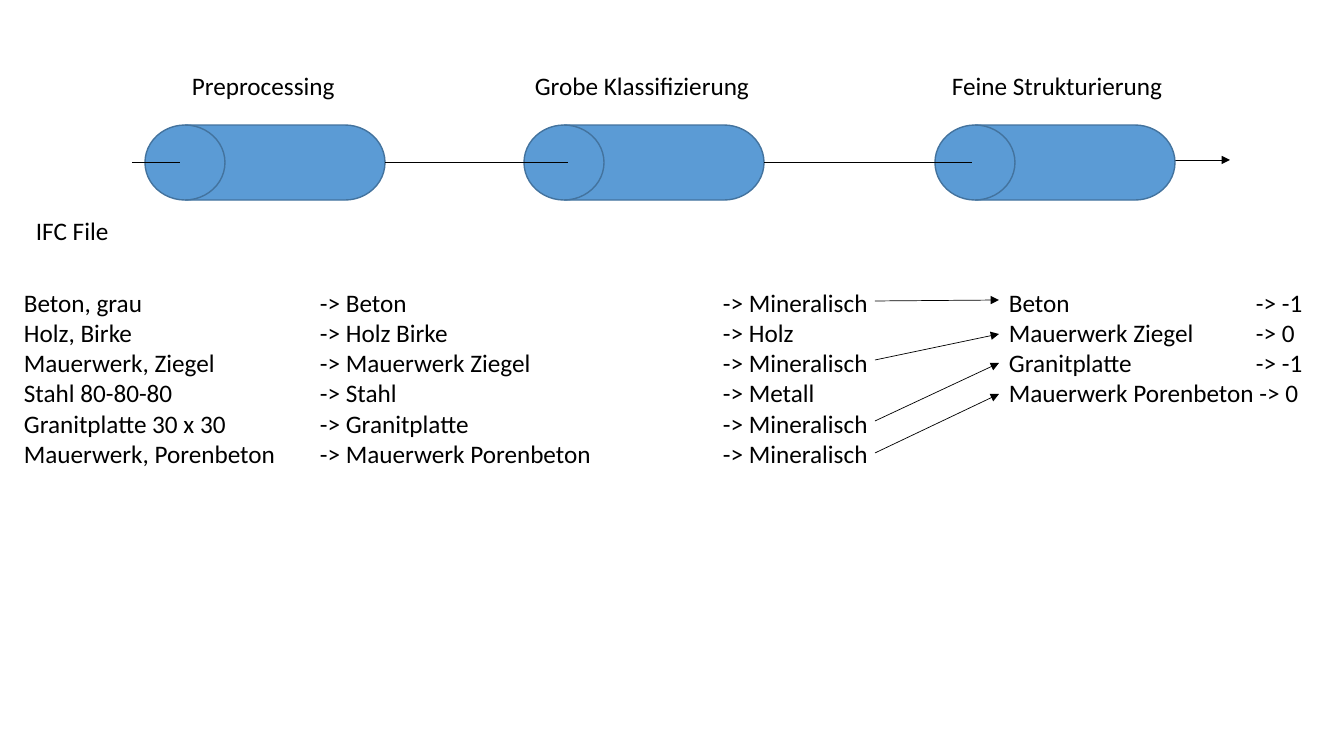
from lxml import etree
from pptx import Presentation
from pptx import util as u
from pptx.dml.color import RGBColor
from pptx.enum import shapes, text
from pptx.oxml.ns import qn

SCALE = 914400 / 100.8
FONT = "Calibri"
COLORS = {"ink": "000000", "drum": "5B9BD5", "drum_edge": "43739E"}

# Drum left, label left, label width, label
STAGES = [
    (145, 182, 164, "Preprocessing"),
    (524, 525, 237, "Grobe Klassifizierung"),
    (935, 942, 233, "Feine Strukturierung"),
]
DRUM_TOP, DRUM_WIDTH, DRUM_HEIGHT = 125, 240, 75
FLOW_Y = 162

# Raw material, cleaned name, coarse class
MATERIALS = [
    ("Beton, grau", "Beton", "Mineralisch"),
    ("Holz, Birke", "Holz Birke", "Holz"),
    ("Mauerwerk, Ziegel", "Mauerwerk Ziegel", "Mineralisch"),
    ("Stahl 80-80-80", "Stahl", "Metall"),
    ("Granitplatte 30 x 30", "Granitplatte", "Mineralisch"),
    ("Mauerwerk, Porenbeton", "Mauerwerk Porenbeton", "Mineralisch"),
]
FINE_RESULTS = [
    "Beton\t-> -1",
    "Mauerwerk Ziegel\t-> 0",
    "Granitplatte\t-> -1",
    "Mauerwerk Porenbeton -> 0",
]
# Start and end height of each arrow into the fine structure
MINERAL_ARROWS = [(301, 300), (360, 334), (421, 363), (453, 394)]


def px(pixels):
    return u.Emu(round(pixels * SCALE))


def color(name):
    return RGBColor.from_string(COLORS[name])


def add_lines(slide, left, top, width, height, lines, tab=None):
    box = slide.shapes.add_textbox(px(left), px(top), px(width), px(height))
    frame = box.text_frame
    frame.word_wrap = tab is not None
    frame.auto_size = text.MSO_AUTO_SIZE.SHAPE_TO_FIT_TEXT
    frame.text = "\n".join(lines)
    for paragraph in frame.paragraphs:
        if tab:
            stops = etree.SubElement(paragraph._p.get_or_add_pPr(), qn("a:tabLst"))
            etree.SubElement(stops, qn("a:tab"), pos=str(px(tab)), algn="l")
        for run in paragraph.runs:
            run.font.name = FONT
            run.font.size = u.Pt(18)
            run.font.color.rgb = color("ink")


def add_line(slide, x1, y1, x2, y2, arrow=False):
    line = slide.shapes.add_connector(
        shapes.MSO_CONNECTOR.STRAIGHT, px(x1), px(y1), px(x2), px(y2))
    line.line.color.rgb = color("ink")
    line.line.width = u.Pt(0.5)
    if arrow:
        etree.SubElement(line.line._get_or_add_ln(), qn("a:tailEnd"), type="triangle")
    etree.SubElement(line._element.spPr, qn("a:effectLst"))


def add_drum(slide, left):
    drum = slide.shapes.add_shape(
        shapes.MSO_SHAPE.FLOWCHART_DIRECT_ACCESS_STORAGE,
        px(left), px(DRUM_TOP), px(DRUM_WIDTH), px(DRUM_HEIGHT))
    drum.rotation = 180
    drum.shadow.inherit = False
    drum.fill.solid()
    drum.fill.fore_color.rgb = color("drum")
    drum.line.color.rgb = color("drum_edge")
    drum.line.width = u.Pt(1)


def main():
    deck = Presentation()
    deck.slide_width, deck.slide_height = px(1344), px(756)
    slide = deck.slides.add_slide(deck.slide_layouts[6])

    # Pipeline: the outgoing arrow starts behind the last drum
    add_line(slide, 1086, 160, 1230, 160, arrow=True)
    for drum_left, label_left, label_width, label in STAGES:
        add_drum(slide, drum_left)
        add_lines(slide, label_left, 65, label_width, 40, [label])
    add_lines(slide, 26, 210, 94, 40, ["IFC File"])
    for start, end in [(132, 180), (385, 568), (764, 972)]:
        add_line(slide, start, FLOW_Y, end, FLOW_Y)

    # Worked example under the pipeline
    add_lines(slide, 14, 282, 274, 194, [raw for raw, _, _ in MATERIALS])
    add_lines(slide, 310, 282, 606, 194,
              [f"-> {name}\t-> {group}" for _, name, group in MATERIALS], tab=403)
    add_lines(slide, 999, 282, 318, 132, FINE_RESULTS, tab=247)
    for start_y, end_y in MINERAL_ARROWS:
        add_line(slide, 875, start_y, 999, end_y, arrow=True)

    deck.save("out.pptx")


main()
